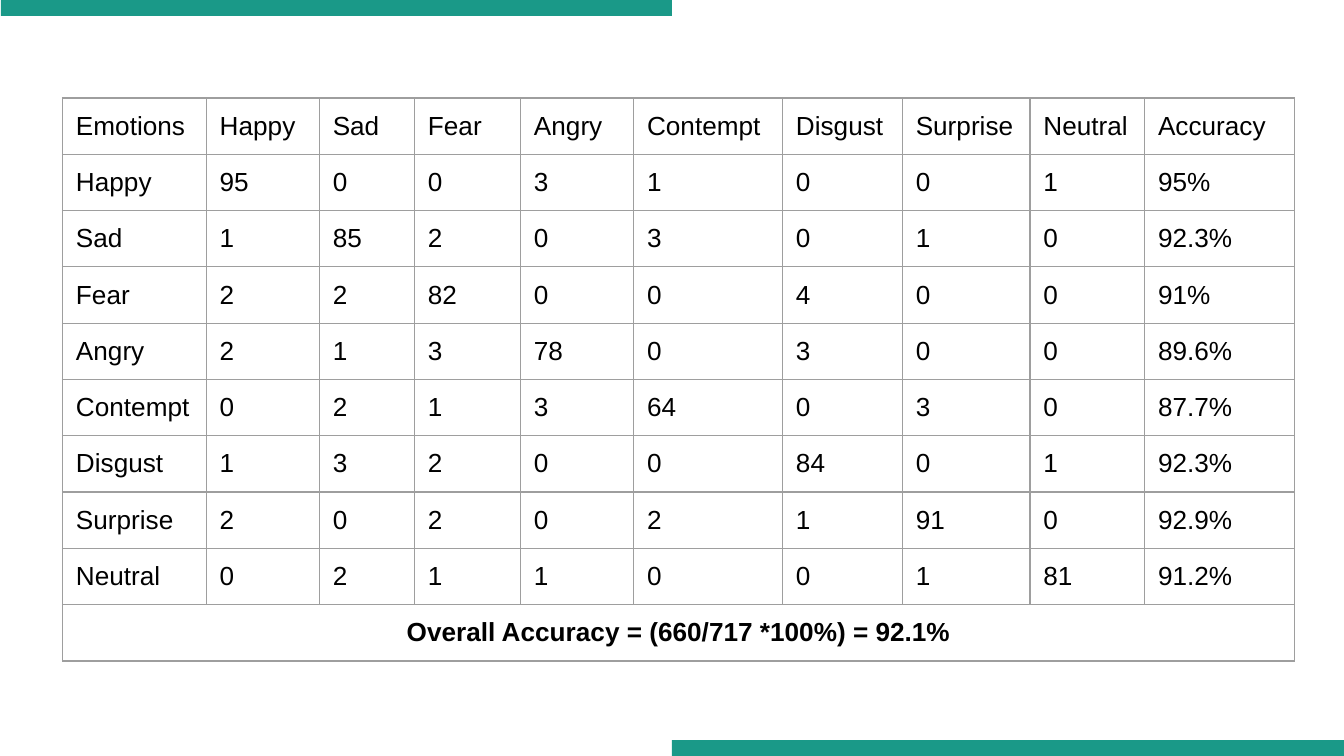
from lxml import etree
from pptx import Presentation
from pptx.dml.color import RGBColor
from pptx.enum import shapes, text
from pptx.oxml.ns import qn
from pptx.util import Pt

EMOTIONS = ["Happy", "Sad", "Fear", "Angry", "Contempt", "Disgust", "Surprise", "Neutral"]
COUNTS = [
    (95, 0, 0, 3, 1, 0, 0, 1),
    (1, 85, 2, 0, 3, 0, 1, 0),
    (2, 2, 82, 0, 0, 4, 0, 0),
    (2, 1, 3, 78, 0, 3, 0, 0),
    (0, 2, 1, 3, 64, 0, 3, 0),
    (1, 3, 2, 0, 0, 84, 0, 1),
    (2, 0, 2, 0, 2, 1, 91, 0),
    (0, 2, 1, 1, 0, 0, 1, 81),
]
ACCURACY = ["95%", "92.3%", "91%", "89.6%", "87.7%", "92.3%", "92.9%", "91.2%"]
OVERALL = "Overall Accuracy = (660/717 *100%) = 92.1%"

COLORS = {"bar": "1A9988", "border": "9E9E9E", "text": "000000"}
WIDTH, HEIGHT = 720, 405
BAR_HEIGHT = 8.5
TOP_BARS = [(0.5, 29.5), (24, 60), (84, 276)]  # left, width
TABLE_LEFT, TABLE_TOP, ROW_HEIGHT = 33.5, 52.5, 30.1
COLUMN_WIDTHS = [77, 60.6, 51, 56.8, 60.6, 79.8, 64.2, 68.4, 61.4, 80.4]


def add_bar(slide, left, top, width):
    sp = slide.shapes.add_shape(shapes.MSO_SHAPE.RECTANGLE,
                                Pt(left), Pt(top), Pt(width), Pt(BAR_HEIGHT))
    sp.shadow.inherit = False
    sp.fill.solid()
    sp.fill.fore_color.rgb = RGBColor.from_string(COLORS["bar"])
    sp.line.fill.background()


def add_borders(cell):
    tc_pr = cell._tc.get_or_add_tcPr()
    for side in ("a:lnL", "a:lnR", "a:lnT", "a:lnB"):
        ln = etree.SubElement(tc_pr, qn(side), w=str(Pt(0.75)))
        fill = etree.SubElement(ln, qn("a:solidFill"))
        etree.SubElement(fill, qn("a:srgbClr"), val=COLORS["border"])


def fill_cell(cell, value, bold=False):
    add_borders(cell)
    cell.fill.background()
    cell.margin_left = cell.margin_right = Pt(7.2)
    cell.margin_top = cell.margin_bottom = Pt(7.2)
    p = cell.text_frame.paragraphs[0]
    p.text = str(value)
    p.font.size = Pt(14)
    for r in p.runs:
        r.font.name = "Arial"
        r.font.size = Pt(14)
        r.font.bold = bold
        r.font.color.rgb = RGBColor.from_string(COLORS["text"])


def add_confusion_matrix(slide):
    rows = [["Emotions", *EMOTIONS, "Accuracy"]]
    rows += [[name, *counts, share]
             for name, counts, share in zip(EMOTIONS, COUNTS, ACCURACY)]
    rows.append([OVERALL] + [""] * (len(COLUMN_WIDTHS) - 1))

    frame = slide.shapes.add_table(len(rows), len(COLUMN_WIDTHS), Pt(TABLE_LEFT), Pt(TABLE_TOP),
                                   Pt(sum(COLUMN_WIDTHS)), Pt(ROW_HEIGHT * len(rows)))
    table = frame.table
    table.first_row = table.horz_banding = False
    for column, width in zip(table.columns, COLUMN_WIDTHS):
        column.width = Pt(width)
    last = len(rows) - 1
    for i, values in enumerate(rows):
        table.rows[i].height = Pt(ROW_HEIGHT)
        for j, value in enumerate(values):
            fill_cell(table.cell(i, j), value, bold=i == last)

    total = table.cell(last, 0)
    total.merge(table.cell(last, len(COLUMN_WIDTHS) - 1))
    total.text_frame.paragraphs[0].alignment = text.PP_ALIGN.CENTER


def main():
    prs = Presentation()
    prs.slide_width, prs.slide_height = Pt(WIDTH), Pt(HEIGHT)
    slide = prs.slides.add_slide(prs.slide_layouts[6])
    add_confusion_matrix(slide)
    add_bar(slide, WIDTH / 2, HEIGHT - BAR_HEIGHT, WIDTH / 2)
    for left, width in TOP_BARS:
        add_bar(slide, left, 0, width)
    prs.save("out.pptx")


if __name__ == "__main__":
    main()
